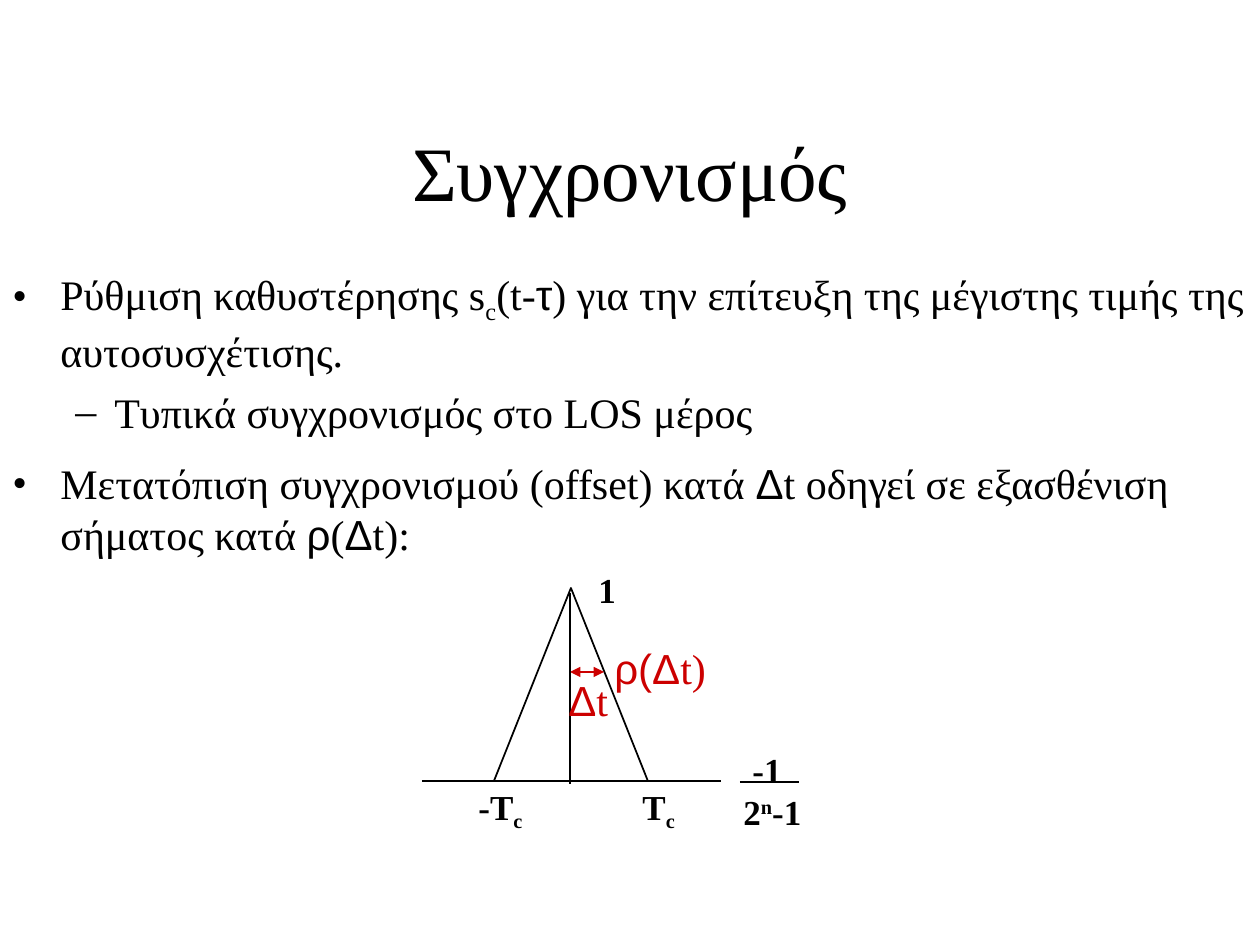
from pptx import Presentation
from pptx.dml.color import RGBColor
from pptx.enum.shapes import MSO_CONNECTOR, MSO_SHAPE
from pptx.enum.text import MSO_ANCHOR, MSO_AUTO_SIZE, PP_ALIGN
from pptx.oxml.ns import qn
from pptx.util import Pt
from lxml import etree

PX = 914400 // 126
BLACK = RGBColor(0x00, 0x00, 0x00)
RED = RGBColor(0xCC, 0x00, 0x00)
SERIF, SANS = "Times New Roman", "Arial"
SUB, SUPER = -25000, 30000
THIN, THICK = 0.99, 1.5


def px(*values):
    return [v * PX for v in values]


def add_run(p, size, color, bold, text, font=SERIF, baseline=0):
    r = p.add_run()
    r.text = text
    r.font.name, r.font.size, r.font.bold = font, Pt(size), bold
    r.font.color.rgb = color
    rPr = r._r.get_or_add_rPr()
    if baseline:
        rPr.set("baseline", str(baseline))
    for tag in ("a:ea", "a:cs"):
        etree.SubElement(rPr, qn(tag)).set("typeface", font)


def add_runs(p, runs, size, color=BLACK, bold=False):
    """Each run is (text, font, baseline); the last two may be left out."""
    for run in runs:
        add_run(p, size, color, bold, *run)


def add_bullet(p, char, left, hang):
    pPr = p._p.get_or_add_pPr()
    pPr.set("marL", str(left * PX))
    pPr.set("indent", str(-hang * PX))
    etree.SubElement(pPr, qn("a:buFont")).set("typeface", SERIF)
    etree.SubElement(pPr, qn("a:buChar")).set("char", char)


def add_line(s, x1, y1, x2, y2, width=THIN, color=BLACK, arrows=False):
    line = s.shapes.add_connector(MSO_CONNECTOR.STRAIGHT, *px(x1, y1, x2, y2))
    line.line.color.rgb, line.line.width = color, Pt(width)
    spPr = line._element.spPr
    if arrows:
        for tag in ("a:headEnd", "a:tailEnd"):
            etree.SubElement(spPr.find(qn("a:ln")), qn(tag)).set("type", "triangle")
    etree.SubElement(spPr, qn("a:effectLst"))


def add_label(s, x, y, w, h, paragraphs, size=20, color=BLACK, bold=True):
    tf = s.shapes.add_textbox(*px(x, y, w, h)).text_frame
    tf.word_wrap = False
    for i, runs in enumerate(paragraphs):
        p = tf.add_paragraph() if i else tf.paragraphs[0]
        add_runs(p, runs, size, color, bold)
    return tf


def add_title(s, x, y, w, h):
    title = s.shapes.title
    title.left, title.top, title.width, title.height = px(x, y, w, h)
    tf = title.text_frame
    tf.vertical_anchor, tf.auto_size = MSO_ANCHOR.BOTTOM, MSO_AUTO_SIZE.NONE
    p = tf.paragraphs[0]
    p.alignment = PP_ALIGN.CENTER
    add_runs(p, [("Συγχρονισμός",)], 44)


def add_body(s, x, y, w, h):
    # bullet, text indent, hanging indent, space before, runs
    items = [
        ("•", 48, 48, 6, [("Ρύθμιση καθυστέρησης s",), ("c", SERIF, SUB), ("(t-",),
                          ("τ", SANS), (") για την επίτευξη της μέγιστης τιμής της "
                                        "αυτοσυσχέτισης.",)]),
        ("–", 102, 39, 6, [("Τυπικά συγχρονισμός στο LOS μέρος",)]),
        ("•", 48, 48, 12, [("Μετατόπιση συγχρονισμού (offset) κατά ",), ("Δ", SANS),
                           ("t οδηγεί σε εξασθένιση σήματος κατά ",), ("ρ", SANS),
                           ("(",), ("Δ", SANS), ("t):",)]),
    ]
    tf = s.shapes.add_textbox(*px(x, y, w, h)).text_frame
    tf.word_wrap = True
    for i, (char, left, hang, before, runs) in enumerate(items):
        p = tf.add_paragraph() if i else tf.paragraphs[0]
        p.level = int(char == "–")
        p.space_before = Pt(before)
        add_bullet(p, char, left, hang)
        add_runs(p, runs, 24)


def add_correlation_plot(s, x, y):
    # Axis and triangular peak
    add_line(s, x, y + 219, x + 299, y + 219, THICK)
    peak = s.shapes.add_shape(MSO_SHAPE.FLOWCHART_EXTRACT,
                              *px(x + 72, y + 26, 154, 193))
    peak.shadow.inherit = False
    peak.fill.background()
    peak.line.color.rgb, peak.line.width = BLACK, Pt(THIN)

    # Axis labels
    add_label(s, x + 164, y, 43, 55, [[("1",)]])
    for dx, w, text in ((208, 60, "T"), (44, 71, "-T")):
        add_label(s, x + dx, y + 217, w, 60, [[(text,), ("c", SERIF, SUB)]])

    # Fraction
    tf = add_label(s, x + 309, y + 180, 83, 97,
                   [[("-1",)], [("2",), ("n", SERIF, SUPER), ("-1",)]])
    tf.paragraphs[0]._p.get_or_add_pPr().set("marL", str(9 * PX))
    add_line(s, x + 318, y + 220, x + 377, y + 220)

    # Offset from the peak
    add_line(s, x + 148, y + 110, x + 182, y + 110, color=RED, arrows=True)
    add_line(s, x + 148, y + 31, x + 148, y + 222)
    for dx, dy, w, runs in ((134, 106, 66, [("Δ", SANS), ("t",)]),
                            (180, 74, 120, [("ρ(Δ", SANS), ("t)",)])):
        add_label(s, x + dx, y + dy, w, 63, [runs], 24, RED, False)


prs = Presentation()
prs.slide_width, prs.slide_height = px(1260, 945)
s = prs.slides.add_slide(prs.slide_layouts[5])
add_title(s, 0, 66, 1260, 157)
add_body(s, 0, 262, 1260, 567)
add_correlation_plot(s, 422, 562)
prs.save("out.pptx")
